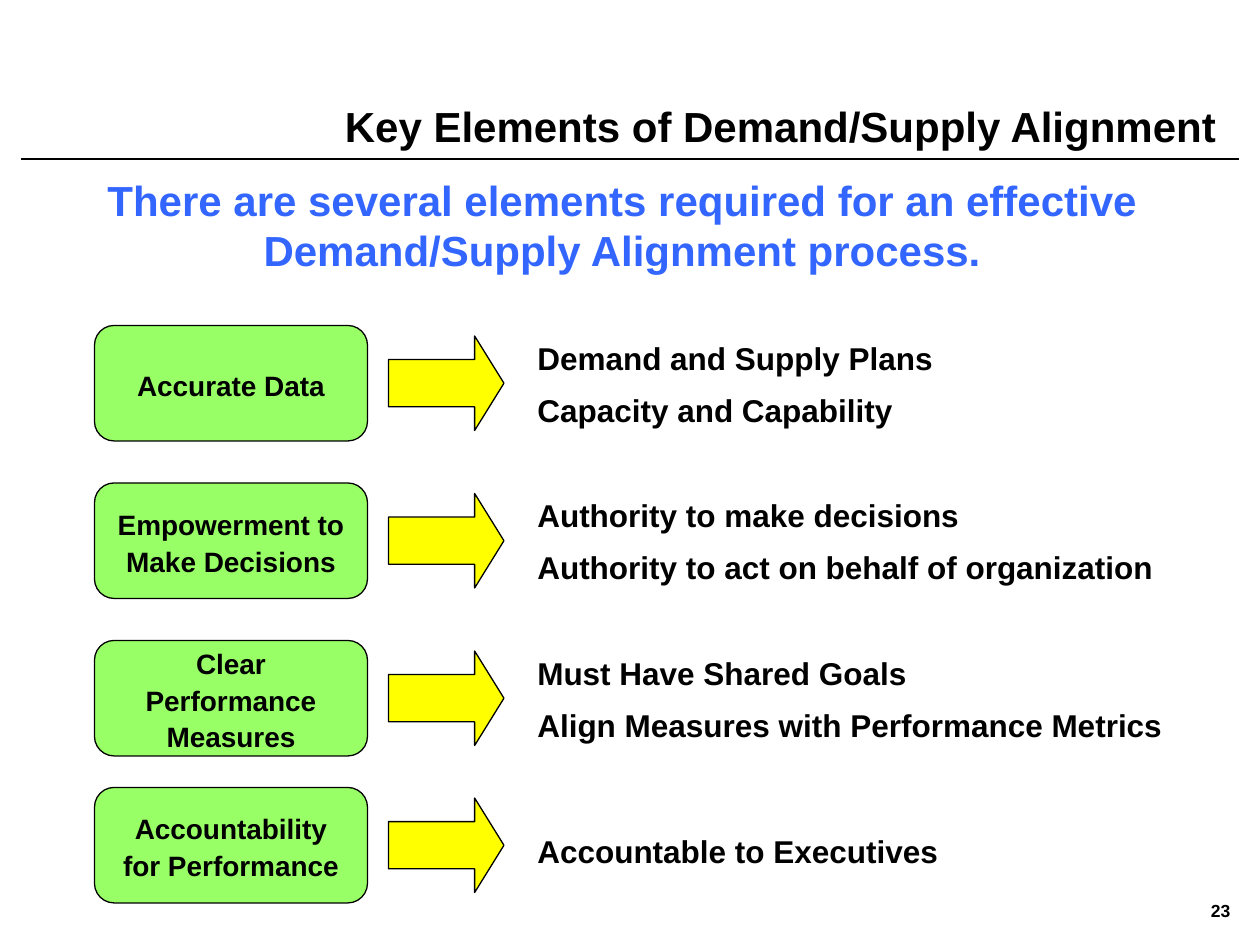
from pptx import Presentation
from pptx.dml.color import RGBColor
from pptx.enum.shapes import MSO_CONNECTOR as Conn, MSO_SHAPE as Kind
from pptx.enum.text import MSO_ANCHOR as Anchor, MSO_AUTO_SIZE as Auto, PP_ALIGN as Align
from pptx.oxml.ns import qn
from pptx.util import Inches, Pt


def tint(code):
    return RGBColor.from_string(code)


class Deck:
    """Draws styled elements on a slide, on a grid of 120 columns by 90 rows."""

    font, ink, lime, sun, blue = "Arial", "000000", "99FF66", "FFFF00", "3366FF"

    def __init__(self):
        self.show = Presentation()
        self.show.slide_width, self.show.slide_height = Inches(10), Inches(7.5)
        self.slide = self.show.slides.add_slide(self.show.slide_layouts[6])
        self.shapes = self.slide.shapes

    def grid(self, *cells):
        return [Inches(cell / 12) for cell in cells]

    def label(self, shape, words, size, align, anchor, color=ink, lead=1.1):
        frame = shape.text_frame
        frame.word_wrap = True
        frame.vertical_anchor = anchor
        para = frame.paragraphs[0]
        para.text = words
        para.alignment, para.line_spacing = align, lead
        font = para.font
        font.name, font.size, font.bold = self.font, Pt(size), True
        font.color.rgb = tint(color)

    def text(self, area, words, size, align=Align.LEFT, anchor=Anchor.TOP, grow=False, **look):
        box = self.shapes.add_textbox(*self.grid(*area))
        self.label(box, words, size, align, anchor, **look)
        box.text_frame.auto_size = Auto.SHAPE_TO_FIT_TEXT if grow else Auto.NONE

    def block(self, kind, area, fill, *bends):
        shape = self.shapes.add_shape(kind, *self.grid(*area))
        shape.shadow.inherit = False
        shape.fill.solid()
        shape.fill.fore_color.rgb = tint(fill)
        shape.line.color.rgb = tint(self.ink)
        shape.line.width = Pt(0.75)
        for spot, bend in enumerate(bends):
            shape.adjustments[spot] = bend
        return shape

    def card(self, area, words):
        shape = self.block(Kind.ROUNDED_RECTANGLE, area, self.lime, 0.17)
        self.label(shape, words, 16, Align.CENTER, Anchor.MIDDLE)

    def arrow(self, area):
        self.block(Kind.RIGHT_ARROW, area, self.sun, 0.5, 0.31)

    def rule(self, left, right, row):
        line = self.shapes.add_connector(Conn.STRAIGHT, *self.grid(left, row, right, row))
        line.line.color.rgb = tint(self.ink)
        line.line.width = Pt(1)
        props = line._element.spPr
        props.append(props.makeelement(qn("a:effectLst"), {}))


ROWS = [
    (31, "Accurate Data", 0.3, ["Demand and Supply Plans", "Capacity and Capability"]),
    (46, "Empowerment to Make Decisions", 0.3,
     ["Authority to make decisions", "Authority to act on behalf of organization"]),
    (61, "Clear Performance Measures", 0.3,
     ["Must Have Shared Goals", "Align Measures with Performance Metrics"]),
    (75, "Accountability for Performance", 3.24, ["Accountable to Executives"]),
]


def main():
    deck = Deck()
    deck.rule(2, 118, 15.12)
    deck.text((113, 84.1, 6.5, 5.3), "23", 10, Align.CENTER, Anchor.MIDDLE, lead=1)
    deck.text((30, 0, 87, 15), "Key Elements of Demand/Supply Alignment", 24,
              Align.RIGHT, Anchor.BOTTOM)
    deck.text((3, 16, 112.5, 10),
              "There are several elements required for an effective "
              "Demand/Supply Alignment process.",
              24, Align.CENTER, color=deck.blue, lead=1)
    for top, name, drop, notes in ROWS:
        deck.card((9, top, 26, 11), name)
        deck.arrow((37, top + 1, 11, 9))
        for step, note in enumerate(notes):
            deck.text((50, top + drop + 4.95 * step, 67, 5.2), note, 18, grow=True)
    deck.show.save("out.pptx")


if __name__ == "__main__":
    main()
